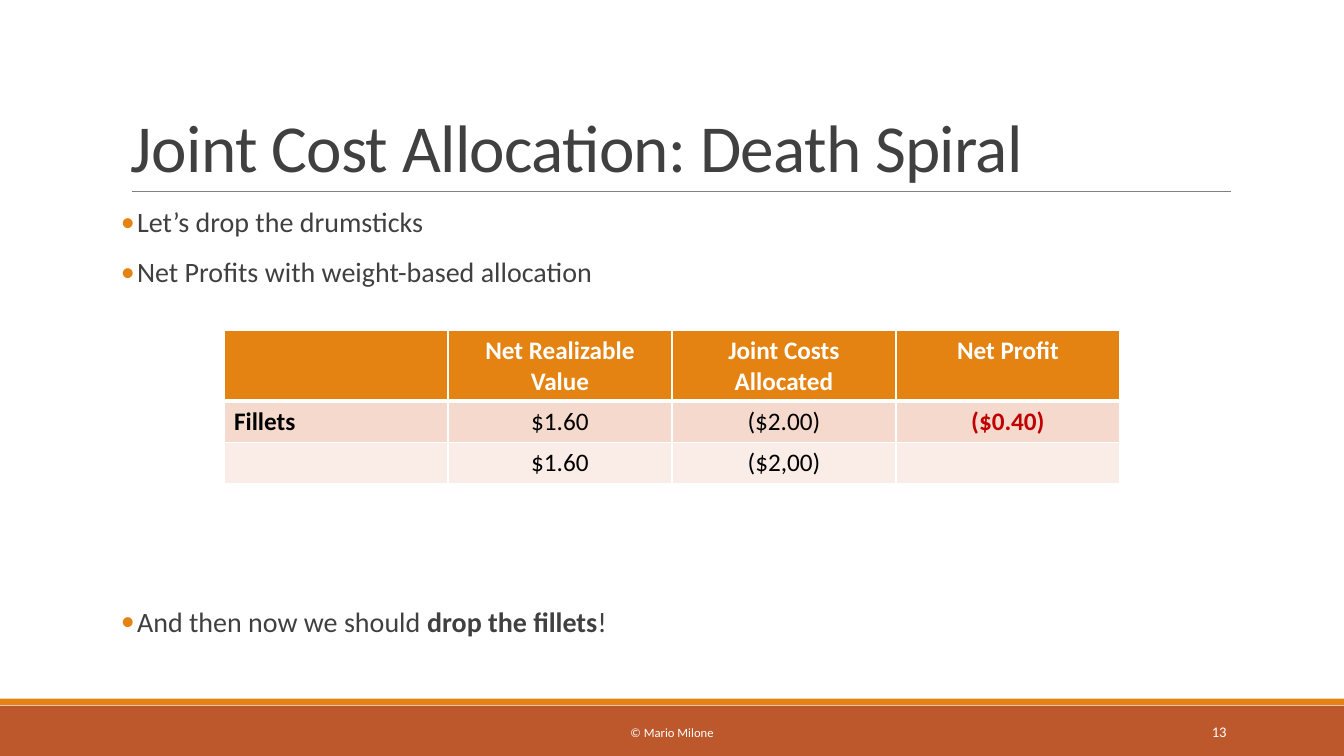
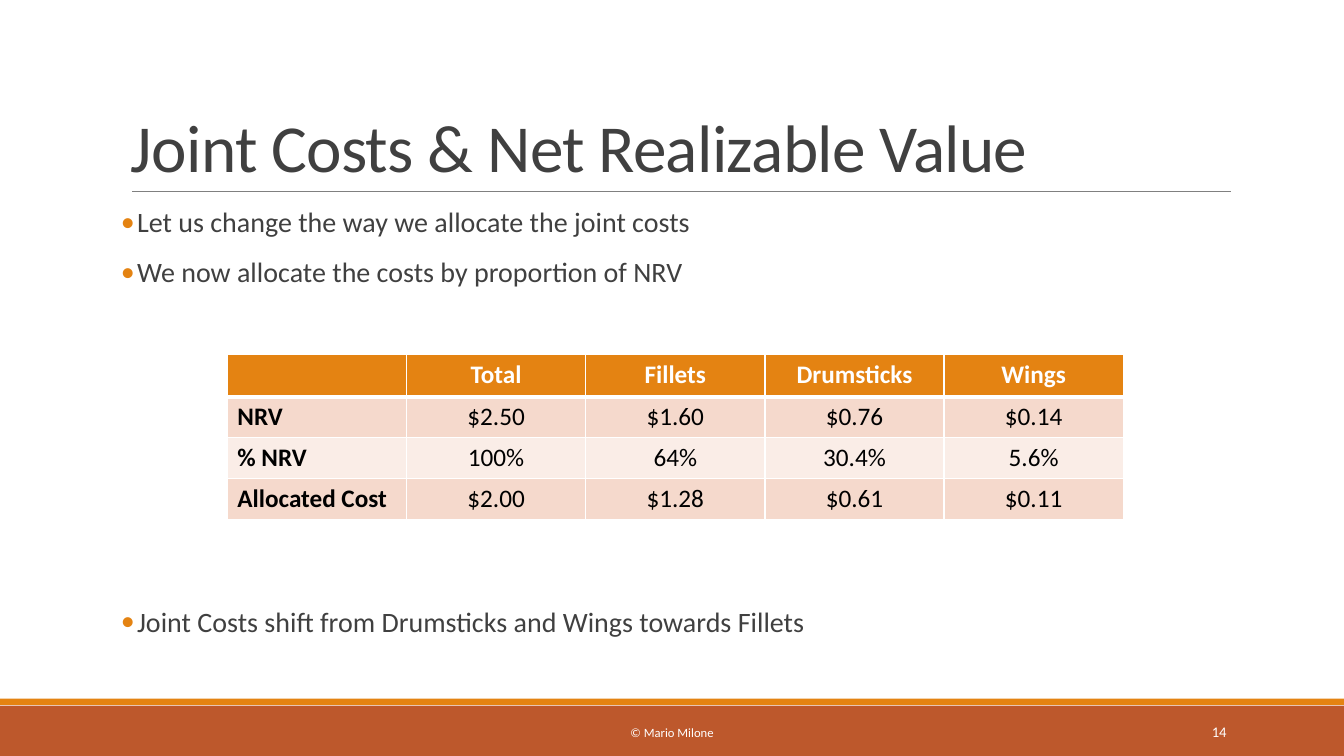
"""Build two slides on joint cost allocation."""
import lxml.etree
import pptx
import pptx.dml.color
import pptx.enum.shapes
import pptx.enum.text
import pptx.oxml
import pptx.oxml.ns
import pptx.util

Pt = pptx.util.Pt
RGB = pptx.dml.color.RGBColor
ALIGN = pptx.enum.text.PP_ALIGN
ANCHOR = pptx.enum.text.MSO_ANCHOR

ORANGE = RGB(0xE4, 0x83, 0x12)
RUST = RGB(0xBD, 0x58, 0x2C)
GREY = RGB(0x80, 0x80, 0x80)
INK = RGB(0x40, 0x40, 0x40)
WHITE = RGB(0xFF, 0xFF, 0xFF)
BLACK = RGB(0, 0, 0)
RED = RGB(0xC0, 0, 0)
BANDS = RGB(0xF5, 0xD9, 0xCC), RGB(0xFA, 0xED, 0xE7)

FONT = "Calibri"
WIDE = pptx.util.Inches(13.333)
HIGH = pptx.util.Inches(7.5)
GRID = 12
LEFT = 1.08
SPAN = 9.9
RULE = 3.04
HEAD = 0.67
ROW = 0.65
PITCH = 35.7
SKIP = 6


def col(count):
    return round(WIDE * count / GRID)


def row(count):
    return round(HIGH * count / GRID)


def box(x, y, w, h):
    return col(x), row(y), col(w), row(h)


def tag(name):
    return pptx.oxml.ns.qn("a:" + name)


def style(para, size, color, bold=False):
    font = para.font
    font.name, font.size, font.bold = FONT, Pt(size), bold
    font.color.rgb = color


def band(slide, y, h, color):
    kind = pptx.enum.shapes.MSO_SHAPE.RECTANGLE
    shape = slide.shapes.add_shape(kind, *box(0, y, GRID, h))
    shape.shadow.inherit = False
    shape.fill.solid()
    shape.fill.fore_color.rgb = color
    shape.line.fill.background()


def line(slide):
    kind = pptx.enum.shapes.MSO_CONNECTOR.STRAIGHT
    rule = slide.shapes.add_connector(
        kind, col(1.18), row(RULE), col(10.99), row(RULE))
    rule.line.color.rgb = GREY
    rule.line.width = Pt(0.5)
    lxml.etree.SubElement(rule._element.spPr, tag("effectLst"))


def frame(slide, area, anchor):
    text = slide.shapes.add_textbox(*box(*area)).text_frame
    text.word_wrap = True
    text.vertical_anchor = anchor
    return text


def label(slide, area, words, size, align):
    para = frame(slide, area, ANCHOR.MIDDLE).paragraphs[0]
    para.text = words
    para.alignment = align
    style(para, size, WHITE)


def title(slide, words):
    para = frame(slide, (LEFT, 0.5, SPAN, RULE - 0.5), ANCHOR.BOTTOM).paragraphs[0]
    para.text = words
    para.line_spacing = 0.85
    style(para, 48, INK)
    para._p.pPr.find(tag("defRPr")).set("spc", "-50")


def dot(para):
    props = para._p.get_or_add_pPr()
    inset = pptx.util.Inches(0.16)
    props.set("marL", str(inset))
    props.set("indent", str(-inset))
    paint = lxml.etree.SubElement(props, tag("buClr"))
    lxml.etree.SubElement(paint, tag("srgbClr"), val=str(ORANGE))
    lxml.etree.SubElement(props, tag("buFont"), typeface=FONT)
    lxml.etree.SubElement(props, tag("buChar"), char="•")


def points(slide, items):
    """Write bullets, the last one below the table; asterisks enclose bold words."""
    text = frame(slide, (LEFT, 3.23, SPAN, 7.04), ANCHOR.TOP)
    text.margin_left = text.margin_right = 0
    for i, item in enumerate(items):
        para = text.add_paragraph() if i else text.paragraphs[0]
        dot(para)
        para.line_spacing = 0.9
        para.space_before = Pt(12 + (SKIP * PITCH if i == len(items) - 1 else 0))
        para.space_after = Pt(2)
        style(para, 20, INK)
        for j, part in enumerate(item.split("*")):
            run = para.add_run()
            run.text = part
            if j % 2:
                run.font.bold = True


def edge(cell, r):
    props = cell._tc.get_or_add_tcPr()
    thick = {"lnT": r == 1, "lnB": r == 0}
    for side in ("lnL", "lnR", "lnT", "lnB"):
        width = Pt(3 if thick.get(side) else 1)
        ln = lxml.etree.SubElement(props, tag(side), w=str(width))
        fill = lxml.etree.SubElement(ln, tag("solidFill"))
        lxml.etree.SubElement(fill, tag("srgbClr"), val=str(WHITE))


def table(slide, x, y, rows, hot=None):
    area = box(x, y, 8, HEAD + ROW * (len(rows) - 1))
    grid = slide.shapes.add_table(len(rows), len(rows[0]), *area).table
    for r, words in enumerate(rows):
        grid.rows[r].height = row(ROW if r else HEAD)
        for c, word in enumerate(words):
            cell = grid.cell(r, c)
            edge(cell, r)
            cell.fill.solid()
            cell.fill.fore_color.rgb = BANDS[(r - 1) % 2] if r else ORANGE
            para = cell.text_frame.paragraphs[0]
            para.text = word
            para.alignment = ALIGN.CENTER if c else ALIGN.LEFT
            mark = (r, c) == hot
            color = RED if mark else BLACK if r else WHITE
            style(para, 18, color, mark or r == 0 or c == 0)


def page(deck, number, name, items):
    slide = deck.slides.add_slide(deck.slide_layouts[6])
    band(slide, 11.2, 0.8, RUST)
    band(slide, 11.09, 0.1, ORANGE)
    line(slide)
    title(slide, name)
    points(slide, items)
    label(slide, (3.63, 11.3, 4.74, 0.64), "© Mario Milone", 9, ALIGN.CENTER)
    label(slide, (9.75, 11.3, 1.29, 0.64), str(number), 10.5, ALIGN.RIGHT)
    return slide


def main():
    deck = pptx.Presentation()
    deck.slide_width, deck.slide_height = WIDE, HIGH
    slide = page(deck, 13, "Joint Cost Allocation: Death Spiral", [
        "Let’s drop the drumsticks",
        "Net Profits with weight-based allocation",
        "And then now we should *drop the fillets*!",
    ])
    table(slide, 2, 5.25, [
        ["", "Net Realizable Value", "Joint Costs Allocated", "Net Profit"],
        ["Fillets", "$1.60", "($2.00)", "($0.40)"],
        ["", "$1.60", "($2,00)", ""],
    ], hot=(1, 3))
    slide = page(deck, 14, "Joint Costs & Net Realizable Value", [
        "Let us change the way we allocate the joint costs",
        "We now allocate the costs by proportion of NRV",
        "Joint Costs shift from Drumsticks and Wings towards Fillets",
    ])
    table(slide, 2.03, 5.63, [
        ["", "Total", "Fillets", "Drumsticks", "Wings"],
        ["NRV", "$2.50", "$1.60", "$0.76", "$0.14"],
        ["% NRV", "100%", "64%", "30.4%", "5.6%"],
        ["Allocated Cost", "$2.00", "$1.28", "$0.61", "$0.11"],
    ])
    deck.save("out.pptx")


if __name__ == "__main__":
    main()
